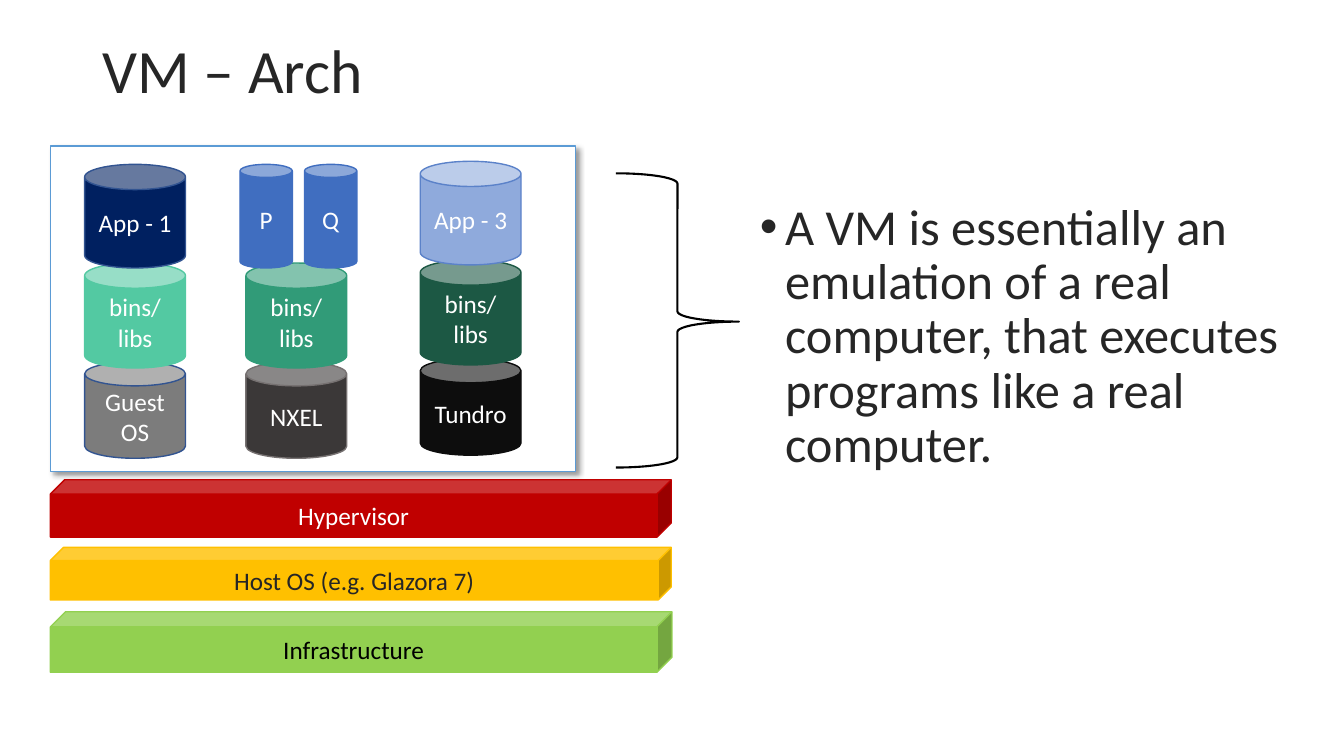
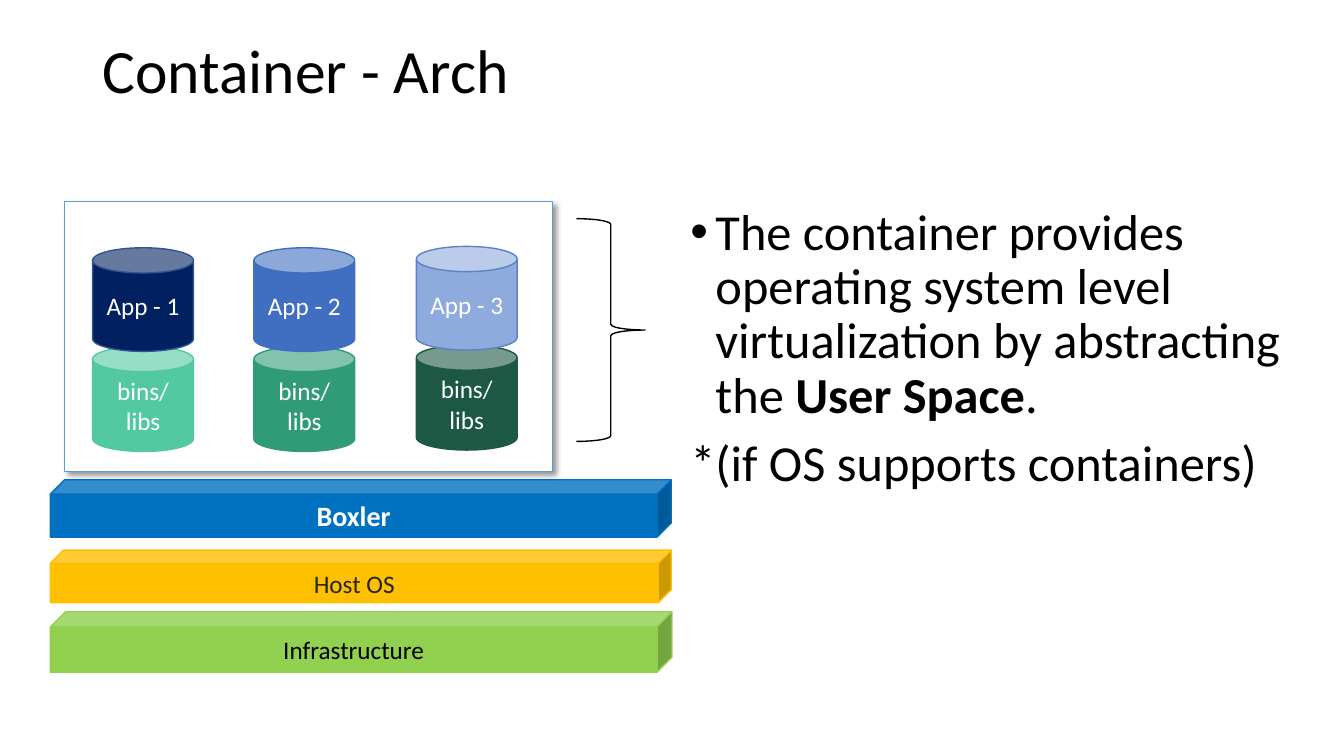
from lxml import etree
from pptx import Presentation
from pptx.dml.color import RGBColor
from pptx.enum.shapes import MSO_SHAPE
from pptx.enum.text import MSO_ANCHOR, PP_ALIGN
from pptx.oxml.ns import qn
from pptx.util import Pt

RECTANGLE, CUBE, CAN, BRACE = (
    MSO_SHAPE.RECTANGLE, MSO_SHAPE.CUBE, MSO_SHAPE.CAN, MSO_SHAPE.RIGHT_BRACE)
TOP, MIDDLE = MSO_ANCHOR.TOP, MSO_ANCHOR.MIDDLE
LEFT, CENTER = PP_ALIGN.LEFT, PP_ALIGN.CENTER

FONT = "Calibri"
WHITE, BLACK, CHARCOAL = "FFFFFF", "000000", "262626"
PANEL_LINE, NAVY_LINE = "5B9BD5", "325491"
RED, BLUE, AMBER, GREEN = "C00000", "0070C0", "FFC000", "92D050"

# Can styles: fill, line
NAVY = ("002060", NAVY_LINE)
MID_BLUE = ("406EC0", "406EC0")
PALE_BLUE = ("8FAADC", "5B82C9")
MINT = ("53C9A2", "53C9A2")
TEAL = ("319B78", "319B78")
FOREST = ("1C5844", "1C5844")
GREY = ("7C7C7C", NAVY_LINE)
DARK_GREY = ("3B3838", "767171")
NEAR_BLACK = ("0D0D0D", "0D0D0D")

# Stacked cans: each layer starts one step below the layer above
CAN_WIDTH, CAN_STEP = 72, 70.5
APP_HEIGHT, LIBS_HEIGHT, OS_HEIGHT = 74, 75, 69
HALF_CAN_WIDTH, HALF_CAN_OFFSETS = 37.4, (-4.3, 41.8)


def color(hex_string):
    return RGBColor.from_string(hex_string)


class Deck:
    """Holds the shared style and the slide being built."""

    def __init__(self):
        self.presentation = Presentation()
        self.presentation.slide_width = Pt(960)
        self.presentation.slide_height = Pt(540)
        self.slide = None

    def new_slide(self, title, text_color):
        layout = self.presentation.slide_layouts[6]
        self.slide = self.presentation.slides.add_slide(layout)
        self.text_color = text_color
        frame = self.text_box(66, 0, 828, 104.4, MIDDLE)
        frame.text = title
        frame.paragraphs[0].line_spacing = 0.9
        self.format_text(frame, 44, text_color, LEFT)

    def format_text(self, frame, size, text_color, alignment, bold=None):
        for paragraph in frame.paragraphs:
            paragraph.alignment = alignment
            for run in paragraph.runs:
                run.font.name = FONT
                run.font.size = Pt(size)
                run.font.color.rgb = color(text_color)
                if bold is not None:
                    run.font.bold = bold

    def text_box(self, left, top, width, height, anchor):
        box = self.slide.shapes.add_textbox(
            Pt(left), Pt(top), Pt(width), Pt(height))
        box.text_frame.word_wrap = True
        box.text_frame.vertical_anchor = anchor
        return box.text_frame

    def body(self, left, top, width, height, bullet, note=None):
        """Bulleted text, with **bold** parts, and an optional plain note."""
        frame = self.text_box(left, top, width, height, TOP)
        paragraph = frame.paragraphs[0]
        for index, part in enumerate(bullet.split("**")):
            run = paragraph.add_run()
            run.text = part
            run.font.bold = index % 2 == 1
        properties = paragraph._p.get_or_add_pPr()
        properties.set("marL", str(Pt(18)))
        properties.set("indent", str(-Pt(18)))
        font = etree.SubElement(properties, qn("a:buFont"))
        font.set("typeface", "Arial")
        etree.SubElement(properties, qn("a:buChar")).set("char", "•")
        if note:
            frame.add_paragraph().text = note
        for paragraph in frame.paragraphs:
            paragraph.line_spacing = 0.9
            paragraph.space_before = Pt(10)
        self.format_text(frame, 36, self.text_color, LEFT)

    def shape(self, kind, left, top, width, height, fill, line, line_width=1):
        shape = self.slide.shapes.add_shape(
            kind, Pt(left), Pt(top), Pt(width), Pt(height))
        shape.shadow.inherit = False
        if fill:
            shape.fill.solid()
            shape.fill.fore_color.rgb = color(fill)
        else:
            shape.fill.background()
        shape.line.color.rgb = color(line)
        shape.line.width = Pt(line_width)
        return shape

    def panel(self, left, top, width, height):
        """White frame with a soft shadow to the lower right."""
        shape = self.shape(
            RECTANGLE, left, top, width, height, WHITE, PANEL_LINE)
        effects = shape.element.spPr.find(qn("a:effectLst"))
        shadow = etree.SubElement(
            effects, qn("a:outerShdw"), blurRad=str(Pt(4)), dist=str(Pt(3)),
            dir="2700000", algn="tl", rotWithShape="0")
        tone = etree.SubElement(shadow, qn("a:srgbClr"), val=BLACK)
        etree.SubElement(tone, qn("a:alpha"), val="40000")

    def bar(self, top, width, height, fill, text, text_color, size=18,
            bold=None):
        shape = self.shape(CUBE, 36, top, width, height, fill, fill)
        shape.text_frame.text = text
        self.format_text(shape.text_frame, size, text_color, CENTER, bold)

    def platform(self, top_bar, host_text, host_top):
        """The three bars under the panel."""
        self.bar(437, 444, 43.2, GREEN, "Infrastructure", BLACK)
        self.bar(host_top, 443.5, 37.5, AMBER, host_text, CHARCOAL)
        self.bar(342.7, 443.5, 41, *top_bar)

    def can(self, left, top, width, height, style, text):
        shape = self.shape(CAN, left, top, width, height, *style)
        shape.text_frame.text = text
        self.format_text(shape.text_frame, 18, WHITE, CENTER)

    def stack(self, left, top, app_style, apps, libs_style, system=None):
        """One column of cans, drawn from the bottom up."""
        if system:
            self.can(left, top + 2 * CAN_STEP, CAN_WIDTH, OS_HEIGHT, *system)
        self.can(left, top + CAN_STEP, CAN_WIDTH, LIBS_HEIGHT, libs_style,
                 "bins/\nlibs")
        if len(apps) == 1:
            self.can(left, top, CAN_WIDTH, APP_HEIGHT, app_style, apps[0])
        else:
            for offset, app in zip(HALF_CAN_OFFSETS, apps):
                self.can(left + offset, top, HALF_CAN_WIDTH, APP_HEIGHT,
                         app_style, app)

    def brace(self, left, top, width, height, line_width, middle=0.5):
        shape = self.shape(
            BRACE, left, top, width, height, None, BLACK, line_width)
        shape.adjustments[0] = 0.083
        shape.adjustments[1] = middle


def main():
    deck = Deck()

    # Virtual machines
    deck.new_slide("VM – Arch", CHARCOAL)
    deck.panel(36, 104.4, 375, 232.6)
    deck.body(535.7, 140.4, 404.6, 378.7,
              "A VM is essentially an emulation of a real computer, "
              "that executes programs like a real computer.")
    deck.platform((RED, "Hypervisor", WHITE),
                  "Host OS (e.g. Glazora 7)", 391)
    deck.stack(60.5, 117.4, NAVY, ["App - 1"], MINT, (GREY, "Guest OS"))
    deck.stack(175.7, 117.4, MID_BLUE, ["P", "Q"], TEAL, (DARK_GREY, "NXEL"))
    deck.stack(300.2, 115.2, PALE_BLUE, ["App - 3"], FOREST,
               (NEAR_BLACK, "Tundro"))
    deck.brace(440, 123.8, 87.8, 210.2, 1.5, 0.504)

    # Containers
    deck.new_slide("Container - Arch", BLACK)
    deck.body(486, 144, 443.5, 319,
              "The container provides operating system level virtualization "
              "by abstracting the **User Space**.",
              "*(if OS supports containers)")
    deck.platform((BLUE, "Boxler", WHITE, 20, True), "Host OS", 393)
    deck.panel(46, 144, 348.5, 193)
    deck.stack(66.2, 177, NAVY, ["App - 1"], MINT)
    deck.stack(181.4, 177, MID_BLUE, ["App - 2"], TEAL)
    deck.stack(297.4, 176, PALE_BLUE, ["App - 3"], FOREST)
    deck.brace(411.8, 156.2, 49, 159.1, 1)

    deck.presentation.save("out.pptx")


if __name__ == "__main__":
    main()
